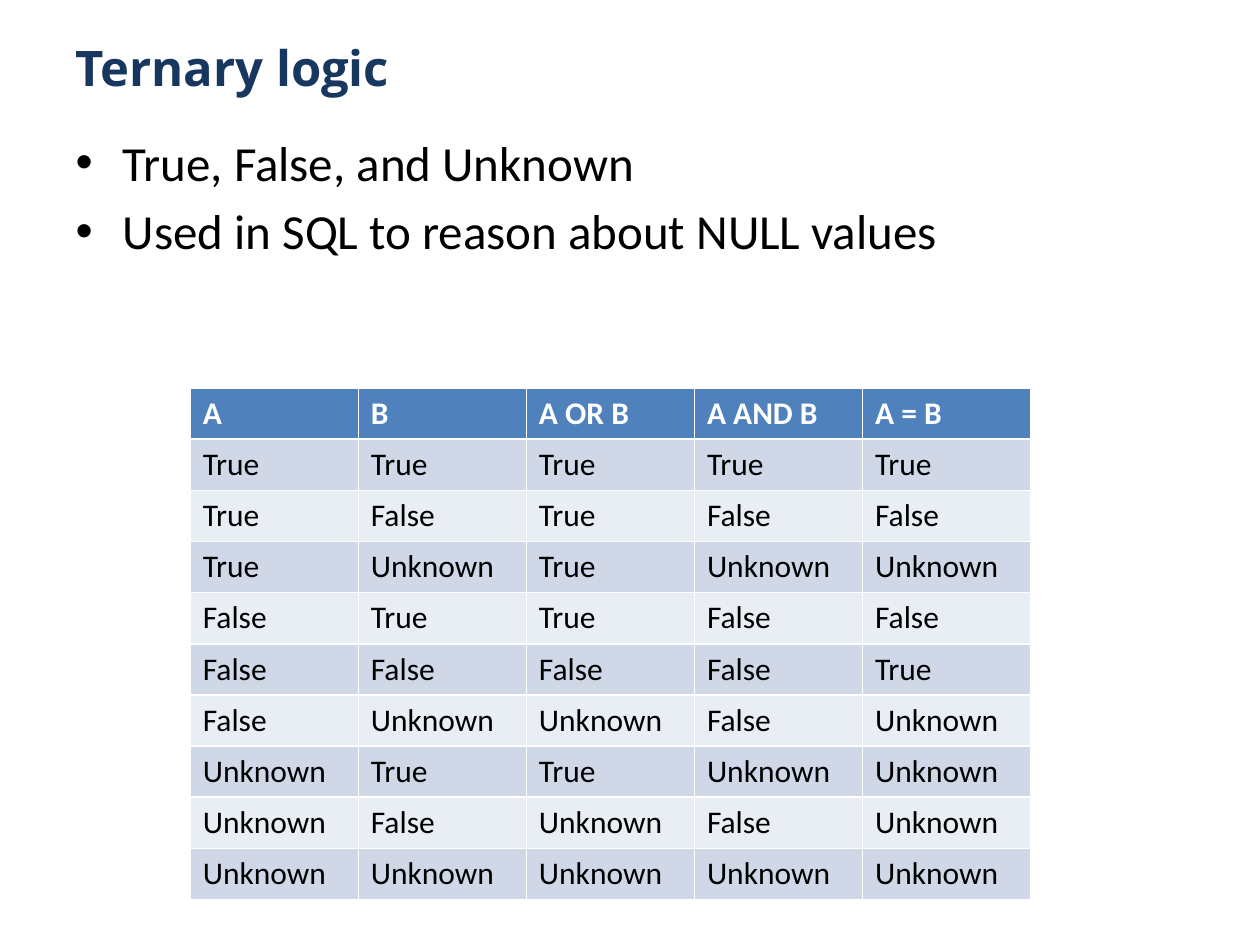
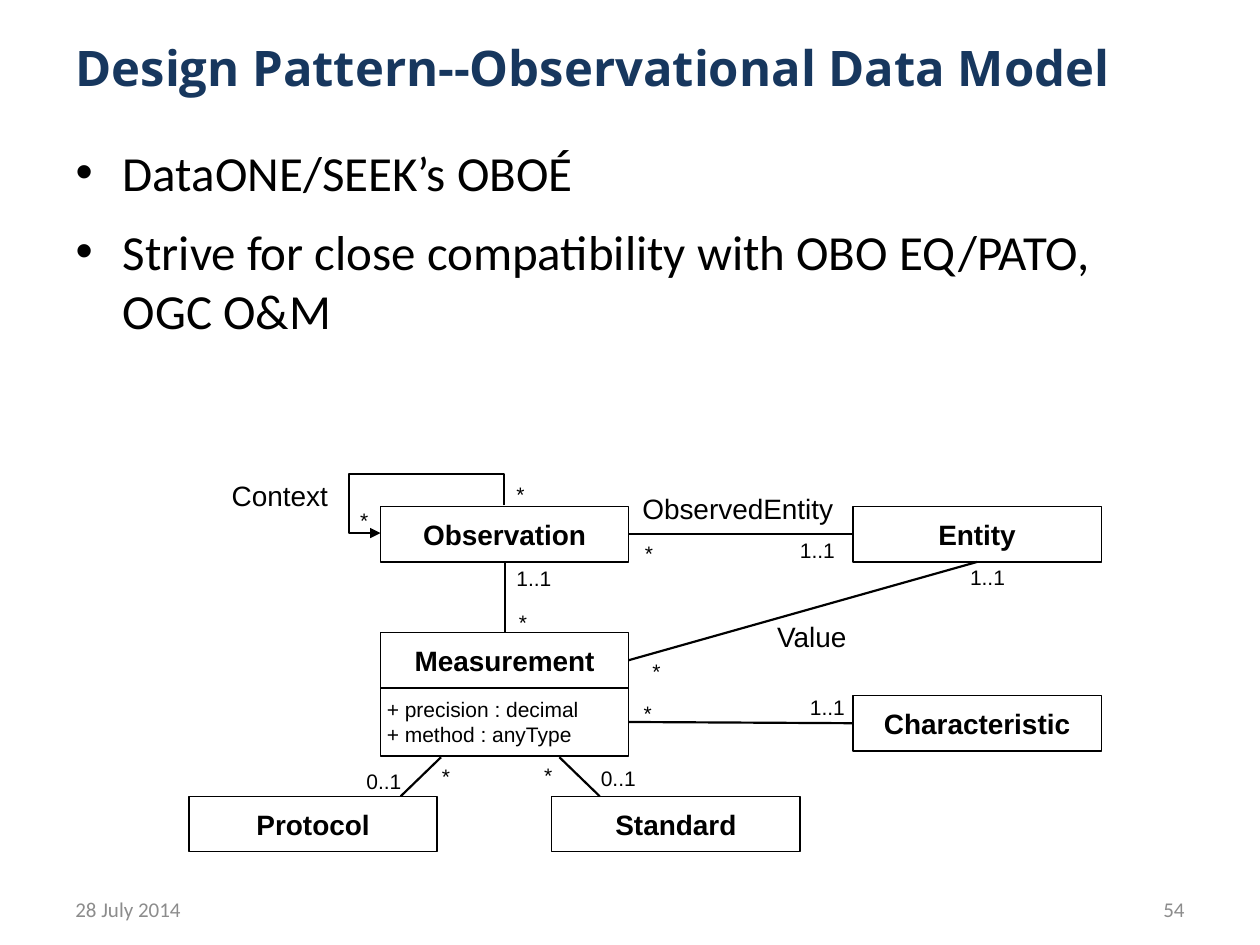
from pptx import Presentation
from pptx import util as u
from pptx.dml.color import RGBColor
from pptx.enum import shapes, text
from pptx.oxml.ns import qn
from lxml import etree

PX = 9144
COLORS = {"title": "17375E", "ink": "000000", "paper": "FFFFFF", "footer": "8C8C8C",
          "header": "4F81BD", "odd": "D0D8E8", "even": "E9EDF4"}
TOP, LEFT, BOTTOM, RIGHT = range(4)


def color(name):
    return RGBColor.from_string(COLORS[name])


def px(*lengths):
    return [u.Emu(length * PX) for length in lengths]


class Deck:
    def __init__(self):
        self.prs = Presentation()
        self.prs.slide_width, self.prs.slide_height = px(1000, 750)
        self.slide = None

    def style(self, frame, size, font="Arial", ink="ink", bold=False, align=text.PP_ALIGN.LEFT):
        for paragraph in frame.paragraphs:
            paragraph.alignment = align
            for run in paragraph.runs:
                run.font.size = u.Pt(size)
                run.font.name = font
                run.font.bold = bold
                run.font.color.rgb = color(ink)

    def place(self, shape, left, top, width, height):
        shape.left, shape.top, shape.width, shape.height = px(left, top, width, height)

    def start(self, title, points, body_top, space_after=0):
        self.slide = self.prs.slides.add_slide(self.prs.slide_layouts[1])
        heading, body = self.slide.placeholders
        self.place(heading, 50, 22, 900, 62)
        heading.text_frame.text = title
        heading.text_frame.auto_size = text.MSO_AUTO_SIZE.NONE
        heading.text_frame.vertical_anchor = text.MSO_ANCHOR.MIDDLE
        self.style(heading.text_frame, 28, "Open Sans", "title", True)
        self.place(body, 50, body_top, 900, 592)
        body.text_frame.text = "\n".join(points)
        body.text_frame.auto_size = text.MSO_AUTO_SIZE.NONE
        self.style(body.text_frame, 28, "Calibri")
        for paragraph in body.text_frame.paragraphs:
            paragraph.space_after = u.Pt(space_after)
        body.text_frame.paragraphs[0].space_before = u.Pt(0)

    def table(self, rows, left, top, width, height):
        grid = self.slide.shapes.add_table(len(rows), len(rows[0]), *px(left, top, width, height)).table
        for r, row in enumerate(rows):
            for c, value in enumerate(row):
                cell = grid.cell(r, c)
                cell.text_frame.text = value
                cell.fill.solid()
                cell.fill.fore_color.rgb = color("header" if r == 0 else "odd" if r % 2 else "even")
                self.style(cell.text_frame, 18, "Calibri", "ink" if r else "paper", r == 0)

    def box(self, words, left, top, height=44, size=16, bold=True,
            align=text.PP_ALIGN.CENTER, inset=0):
        box = self.slide.shapes.add_shape(shapes.MSO_SHAPE.RECTANGLE, *px(left, top, 197, height))
        box.shadow.inherit = False
        box.fill.solid()
        box.fill.fore_color.rgb = color("paper")
        box.line.color.rgb = color("ink")
        box.line.width = u.Pt(0.75)
        frame = box.text_frame
        frame.text = words
        frame.margin_left, frame.margin_right = px(inset, 0)
        frame.vertical_anchor = text.MSO_ANCHOR.MIDDLE
        self.style(frame, size, bold=bold, align=align)
        return box

    def label(self, words, left, top, width, height, size=12, wrap=False, **look):
        label = self.slide.shapes.add_textbox(*px(left, top, width, height))
        frame = label.text_frame
        frame.text = words
        frame.word_wrap = wrap
        self.style(frame, size, **look)
        return frame

    def footer(self, words, left, align):
        frame = self.label(words, left, 708, 233, 27, wrap=True,
                           font="Calibri", ink="footer", align=align)
        frame.vertical_anchor = text.MSO_ANCHOR.MIDDLE

    def line(self, x1=0, y1=0, x2=0, y2=0, kind=shapes.MSO_CONNECTOR.STRAIGHT):
        line = self.slide.shapes.add_connector(kind, *px(x1, y1, x2, y2))
        line.line.color.rgb = color("ink")
        line.line.width = u.Pt(1.25)
        etree.SubElement(line._element.spPr, qn("a:effectLst"))
        return line

    def join(self, source, side, target, target_side, kind=shapes.MSO_CONNECTOR.STRAIGHT):
        line = self.line(kind=kind)
        line.begin_connect(source, side)
        line.end_connect(target, target_side)
        return line

    def loop(self, box):
        loop = self.join(box, TOP, box, LEFT, shapes.MSO_CONNECTOR.ELBOW)
        self.place(loop, 340, 363, 22, 98)
        properties = loop._element.spPr
        for key, value in (("rot", "16200000"), ("flipH", "1"), ("flipV", "1")):
            properties.find(qn("a:xfrm")).set(key, value)
        geometry = properties.find(qn("a:prstGeom"))
        geometry.set("prst", "bentConnector4")
        guides = geometry.find(qn("a:avLst"))
        for name, value in (("adj1", -113800), ("adj2", 125500)):
            etree.SubElement(guides, qn("a:gd"), name=name, fmla=f"val {value}")
        etree.SubElement(properties.find(qn("a:ln")), qn("a:tailEnd"), type="triangle")


def ternary_logic(deck):
    deck.start("Ternary logic",
               ["True, False, and Unknown", "Used in SQL to reason about NULL values"], 100)
    t, f, n = "True", "False", "Unknown"
    deck.table([("A", "B", "A OR B", "A AND B", "A = B"),
                (t, t, t, t, t), (t, f, t, f, f), (t, n, t, n, n),
                (f, t, t, f, f), (f, f, f, f, t), (f, n, n, f, n),
                (n, t, t, n, n), (n, f, n, f, n), (n, n, n, n, n)], 151, 308, 667, 406)


def observational_model(deck):
    deck.start("Design Pattern--Observational Data Model",
               ["DataONE/SEEK’s OBOÉ",
                "Strive for close compatibility with OBO EQ/PATO, OGC O&M"], 108, 6)
    entity = deck.box("Entity", 677, 402)
    characteristic = deck.box("Characteristic", 677, 552)
    observation = deck.box("Observation", 302, 402)
    measurement = deck.box("Measurement", 302, 502)
    deck.box("Protocol", 150, 632)
    deck.box("Standard", 438, 632)
    attributes = deck.box("+ precision : decimal\n+ method : anyType", 302, 546, 54, 12,
                          False, text.PP_ALIGN.LEFT, 5)

    deck.join(attributes, RIGHT, characteristic, LEFT)
    deck.join(measurement, TOP, observation, BOTTOM)
    deck.join(observation, RIGHT, entity, LEFT)
    deck.join(measurement, RIGHT, entity, BOTTOM)
    deck.line(444, 601, 476, 632)
    deck.line(350, 601, 318, 632)
    deck.loop(observation)

    for count, left, top in (("1..1", 625, 422), ("1..1", 400, 444), ("1..1", 633, 546),
                             ("1..1", 760, 443), ("0..1", 281, 605), ("0..1", 467, 603)):
        deck.label(count, left, top, 48, 30)
    for left, top in ((276, 398), (400, 377), (502, 424), (402, 479),
                      (422, 600), (341, 601), (508, 518), (501, 551)):
        deck.label("*", left, top, 27, 30)
    for relation, left, top, width in (("Value", 607, 487, 76), ("Context", 174, 375, 98),
                                       ("ObservedEntity", 500, 385, 174)):
        deck.label(relation, left, top, width, 37, 16)

    deck.footer("28 July 2014", 50, text.PP_ALIGN.LEFT)
    deck.footer("54", 717, text.PP_ALIGN.RIGHT)


def main():
    deck = Deck()
    ternary_logic(deck)
    observational_model(deck)
    deck.prs.save("out.pptx")


if __name__ == "__main__":
    main()
